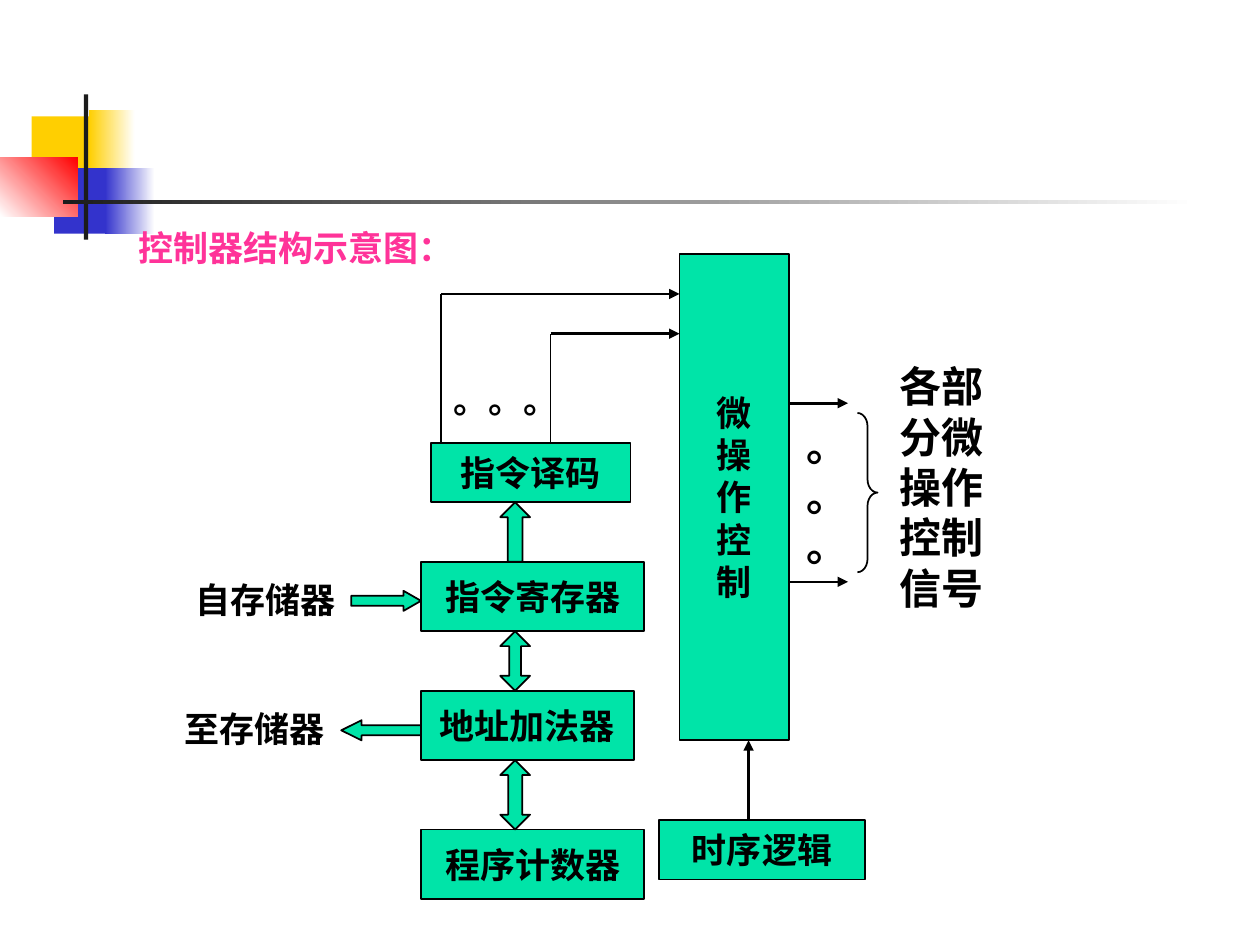
from dataclasses import dataclass

from lxml import etree
from pptx import Presentation
from pptx.dml.color import RGBColor
from pptx.enum import shapes, text
from pptx.oxml.ns import qn
from pptx.util import Pt


@dataclass(frozen=True)
class Theme:
    font: str = "Noto Sans CJK SC"
    ink: str = "000000"
    block: str = "00E4A8"
    title: str = "FF3399"
    yellow: str = "FFCF01"
    blue: str = "3333CC"
    red: str = "FF0000"
    rule: str = "1C1C1C"
    white: str = "FFFFFF"
    body: int = 20
    large: int = 24
    leading: float = 1.2


theme = Theme()
kinds = shapes.MSO_SHAPE


def add_figure(kind, frame, fill=None, line=None, adjustments=()):
    """Add a preset shape; a fill of (start, end, angle) is a gradient."""
    shape = page.shapes.add_shape(kind, *map(Pt, frame))
    shape.shadow.inherit = False
    for index, value in enumerate(adjustments):
        shape.adjustments[index] = value
    if isinstance(fill, tuple):
        shape.fill.gradient()
        shape.fill.gradient_angle = fill[2]
        for stop, color in zip(shape.fill.gradient_stops, fill):
            stop.color.rgb = RGBColor.from_string(color)
    elif fill:
        shape.fill.solid()
        shape.fill.fore_color.rgb = RGBColor.from_string(fill)
    else:
        shape.fill.background()
    if line:
        shape.line.color.rgb = RGBColor.from_string(line)
        shape.line.width = Pt(1)
    else:
        shape.line.fill.background()
    return shape


def write(box, words, size=theme.body, color=theme.ink, align=text.PP_ALIGN.LEFT):
    box.text_frame.text = words
    for para in box.text_frame.paragraphs:
        para.alignment = align
        para.line_spacing = Pt(size * theme.leading)
        for span in para.runs:
            span.font.size = Pt(size)
            span.font.bold = True
            span.font.color.rgb = RGBColor.from_string(color)
            span.font.name = theme.font
            east_asian = etree.SubElement(span.font._element, qn("a:ea"))
            east_asian.set("typeface", theme.font)


deck = Presentation()
deck.slide_width, deck.slide_height = Pt(720), Pt(540)
page = deck.slides.add_slide(deck.slide_layouts[6])

# Corner ornament and heading rule
ornament = [
    ((18, 66.5, 34.5, 37.5), theme.yellow),
    ((51, 63, 26, 37.5), (theme.yellow, theme.white, 0)),
    ((31, 96, 33, 37.5), theme.blue),
    ((60, 96, 28.5, 37.5), (theme.blue, theme.white, 0)),
    ((0, 90, 44.5, 33.5), (theme.white, theme.red, 45)),
    ((48, 54, 2.5, 83), theme.rule),
    ((36, 114.5, 648, 2.2), (theme.rule, theme.white, 0)),
]
for frame, fill in ornament:
    add_figure(kinds.RECTANGLE, frame, fill)

# Controller units
units = [
    ("指令译码", (246.3, 253, 114, 34)),
    ("指令寄存器", (240.6, 321, 127.6, 39.7)),
    ("地址加法器", (240.6, 394.7, 121.6, 39.7)),
    ("程序计数器", (240.6, 474, 127.6, 39.7)),
    ("\n".join("微操作控制"), (388.3, 145, 62.4, 278)),
    ("时序逻辑", (376.8, 468.6, 117.4, 34)),
]
for words, frame in units:
    unit = add_figure(kinds.RECTANGLE, frame, theme.block, theme.ink)
    unit.text_frame.word_wrap = False
    unit.text_frame.vertical_anchor = text.MSO_ANCHOR.MIDDLE
    write(unit, words, align=text.PP_ALIGN.CENTER)

# Block arrows between the units and to memory
block_arrows = [
    (kinds.RIGHT_ARROW, (200.7, 337.6, 39.9, 11.5), 0.87),
    (kinds.LEFT_ARROW, (195, 411.6, 45.6, 11.5), 1.01),
    (kinds.UP_ARROW, (285.9, 287, 17, 34), 0.5),
    (kinds.UP_DOWN_ARROW, (285.9, 360.7, 17, 34), 0.4),
    (kinds.UP_DOWN_ARROW, (285.9, 434.4, 17, 39.6), 0.47),
]
for kind, frame, head in block_arrows:
    add_figure(kind, frame, theme.block, theme.ink, (0.5, head))

# Signal lines: start, end, width; the wider ones carry an arrowhead
signals = [
    ((252, 253), (252, 168), 1),
    ((314.6, 253), (314.6, 190.7), 1),
    ((252, 168), (388.3, 168), 1.5),
    ((314.6, 190.7), (388.3, 190.7), 1.5),
    ((427.8, 468.6), (427.8, 423), 1.5),
    ((450.7, 230.4), (484.6, 230.4), 1.5),
    ((450.7, 332.5), (484.6, 332.5), 1.5),
]
for start, end, width in signals:
    signal = page.shapes.add_connector(
        shapes.MSO_CONNECTOR.STRAIGHT, *map(Pt, start + end))
    signal.line.color.rgb = RGBColor.from_string(theme.ink)
    signal.line.width = Pt(width)
    if width > 1:
        arrowhead = etree.SubElement(signal.line._get_or_add_ln(), qn("a:tailEnd"))
        arrowhead.set("type", "triangle")
    etree.SubElement(signal._element.spPr, qn("a:effectLst"))

add_figure(kinds.RIGHT_BRACE, (490, 236, 11.5, 91), line=theme.ink,
           adjustments=(0.66, 0.5))

# Labels: words, frame, size, colour, wrap
labels = [
    ("自存储器", (104.5, 327, 102.2, 31.5), theme.body, theme.ink, True),
    ("至存储器", (98.5, 400.5, 107.3, 31.5), theme.body, theme.ink, True),
    ("各部分微操作控制信号", (506.8, 202.5, 70.6, 151), theme.large, theme.ink, True),
    ("\n".join("。。。"), (453.6, 236, 38.4, 93.6), theme.large, theme.ink, False),
    ("。。。", (252, 213, 74.4, 31.5), theme.body, theme.ink, False),
    ("控制器结构示意图：", (72, 126, 243.4, 31.5), theme.body, theme.title, True),
]
for words, frame, size, color, wrap in labels:
    label = page.shapes.add_textbox(*map(Pt, frame))
    label.text_frame.word_wrap = wrap
    label.text_frame.auto_size = text.MSO_AUTO_SIZE.SHAPE_TO_FIT_TEXT
    write(label, words, size, color)

deck.save("out.pptx")
